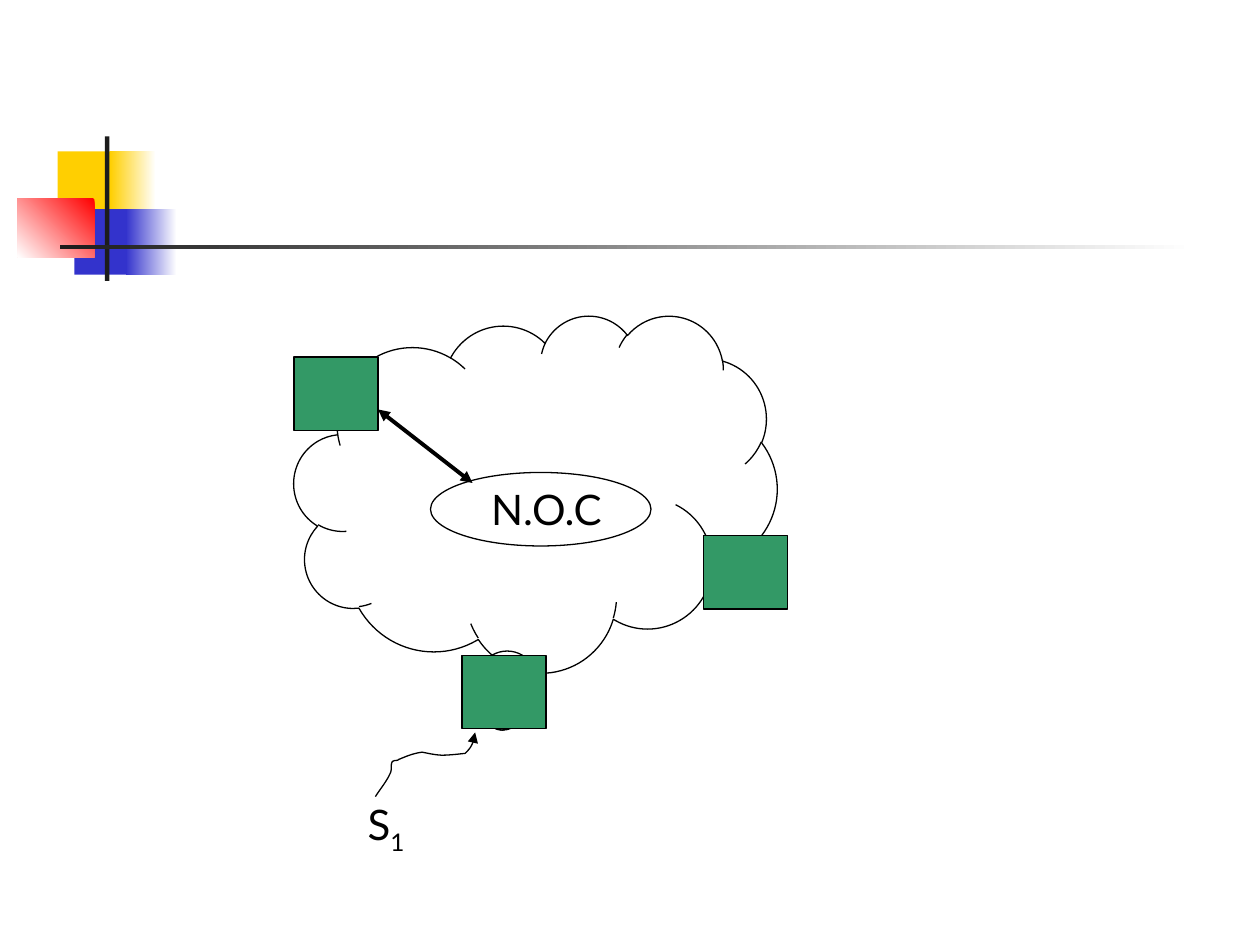
from lxml.etree import SubElement
from pptx import Presentation
from pptx.dml.color import RGBColor
from pptx.enum.shapes import MSO_CONNECTOR, MSO_SHAPE
from pptx.enum.text import MSO_AUTO_SIZE
from pptx.oxml.ns import qn
from pptx.util import Pt

BLACK = RGBColor(0x00, 0x00, 0x00)
WHITE = RGBColor(0xFF, 0xFF, 0xFF)
YELLOW = RGBColor(0xFF, 0xCF, 0x01)
BLUE = RGBColor(0x33, 0x33, 0xCC)
RED = RGBColor(0xFF, 0x00, 0x00)
CHARCOAL = RGBColor(0x1C, 0x1C, 0x1C)
GREEN = RGBColor(0x33, 0x99, 0x66)

deck = Presentation()
deck.slide_width, deck.slide_height = Pt(720), Pt(540)
page = deck.slides.add_slide(deck.slide_layouts[6])


def add_shape(kind, left, top, width, height, colors=(), angle=180, outlined=False):
    """Add a shape with no fill, one colour, or a gradient of two colours."""
    shape = page.shapes.add_shape(kind, Pt(left), Pt(top), Pt(width), Pt(height))
    shape.shadow.inherit = False
    if len(colors) == 2:
        shape.fill.gradient()
        shape.fill.gradient_angle = angle
        for stop, color in zip(shape.fill.gradient_stops, colors):
            stop.color.rgb = color
    elif colors:
        shape.fill.solid()
        shape.fill.fore_color.rgb = colors[0]
    else:
        shape.fill.background()
    if outlined:
        shape.line.color.rgb = BLACK
        shape.line.width = Pt(0.75)
    else:
        shape.line.fill.background()
    return shape


def add_text(text, left, top, width, height, subscript="", size=24, font="Lato", color=BLACK):
    """Add a one-line label, with an optional subscript after it."""
    box = page.shapes.add_textbox(Pt(left), Pt(top), Pt(width), Pt(height))
    box.text_frame.word_wrap = True
    box.text_frame.auto_size = MSO_AUTO_SIZE.NONE
    para = box.text_frame.paragraphs[0]
    for part in filter(None, (text, subscript)):
        span = para.add_run()
        span.text = part
        span.font.name = font
        span.font.size = Pt(size)
        span.font.color.rgb = color
    if subscript:
        span._r.get_or_add_rPr().set("baseline", "-25000")


# Corner ornament and title rule
for left, top, width, height, colors, angle in (
    (33, 86.5, 34.5, 37.5, [YELLOW], 0),
    (63, 86.5, 26, 37.5, [WHITE, YELLOW], 180),
    (42.5, 119.5, 33, 37.5, [BLUE], 0),
    (72, 119.5, 29, 37.5, [WHITE, BLUE], 180),
    (10, 113.5, 44, 33.5, [RED, WHITE], 225),
    (60, 78, 2.5, 82.5, [CHARCOAL], 0),
    (34.5, 140, 648, 2.5, [WHITE, CHARCOAL], 180),
):
    add_shape(MSO_SHAPE.RECTANGLE, left, top, width, height, colors, angle)

# Operations centre inside the network cloud
add_shape(MSO_SHAPE.OVAL, 246, 270, 126, 42, outlined=True)
add_text("N.O.C", 273.5, 273, 84, 36)
cloud = add_shape(MSO_SHAPE.CLOUD_CALLOUT, 168, 180, 276, 204, outlined=True)
cloud.adjustments[0] = -0.071
cloud.adjustments[1] = 0.635

# Nodes on the edge of the cloud
for left, top in ((264, 374.5), (168, 204), (402, 306)):
    add_shape(MSO_SHAPE.RECTANGLE, left, top, 48, 42, [GREEN], outlined=True)

# Link between a node and the centre
link = page.shapes.add_connector(MSO_CONNECTOR.STRAIGHT, Pt(216), Pt(234), Pt(270), Pt(276))

# Curved pointer from the label to its node, as cubic segments
start = (214.5, 455.2)
segments = (
    ((217.5, 450.5), (221, 446.5), (223.2, 441.5)),
    ((224, 439.5), (223.2, 437.2), (224, 435.5)),
    ((225, 434), (227.2, 435), (227.8, 434)),
    ((232.5, 432), (236.2, 430.5), (241.2, 429.8)),
    ((252, 432), (252, 432), (265.8, 430.5)),
    ((268, 428.5), (269.5, 426.5), (270.8, 422.8)),
    ((271.5, 421), (271.5, 418.5), (271.5, 418.5)),
)
steps = 6
points = [start]
for control_1, control_2, end in segments:
    corners = (points[-1], control_1, control_2, end)
    for step in range(1, steps + 1):
        t = step / steps
        weights = ((1 - t) ** 3, 3 * t * (1 - t) ** 2, 3 * t**2 * (1 - t), t**3)
        points.append(tuple(
            sum(weight * corner[axis] for weight, corner in zip(weights, corners))
            for axis in (0, 1)
        ))
outline = page.shapes.build_freeform(Pt(start[0]), Pt(start[1]))
outline.add_line_segments([(Pt(x), Pt(y)) for x, y in points[1:]], close=False)
pointer = outline.convert_to_shape()
pointer.fill.background()

# Line format and arrowheads
for arrow, width, ends in (
    (link, 2.25, ("a:headEnd", "a:tailEnd")),
    (pointer, 0.75, ("a:tailEnd",)),
):
    arrow.line.color.rgb = BLACK
    arrow.line.width = Pt(width)
    for end in ends:
        SubElement(arrow.line._get_or_add_ln(), qn(end), type="triangle")
    SubElement(arrow._element.spPr, qn("a:effectLst"))

# Node label
add_text("S", 203, 453, 46, 40, subscript="1")

deck.save("out.pptx")
